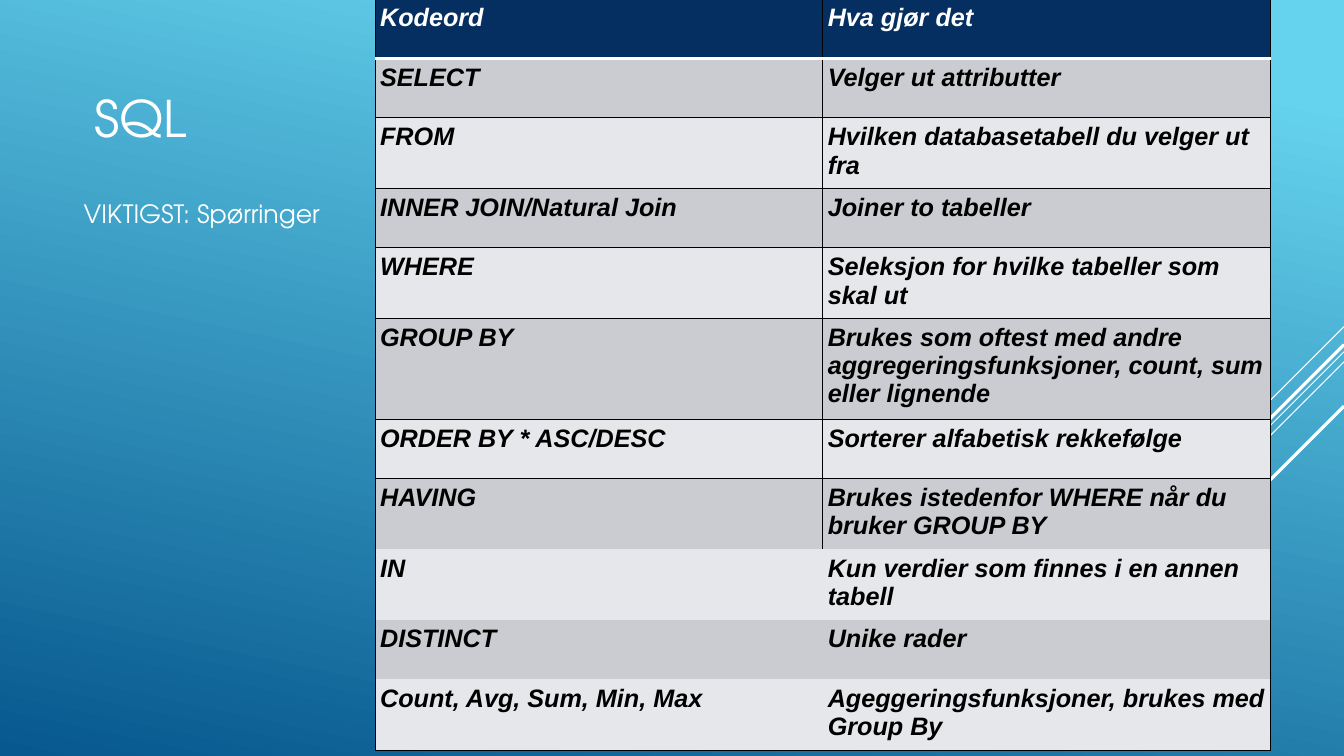
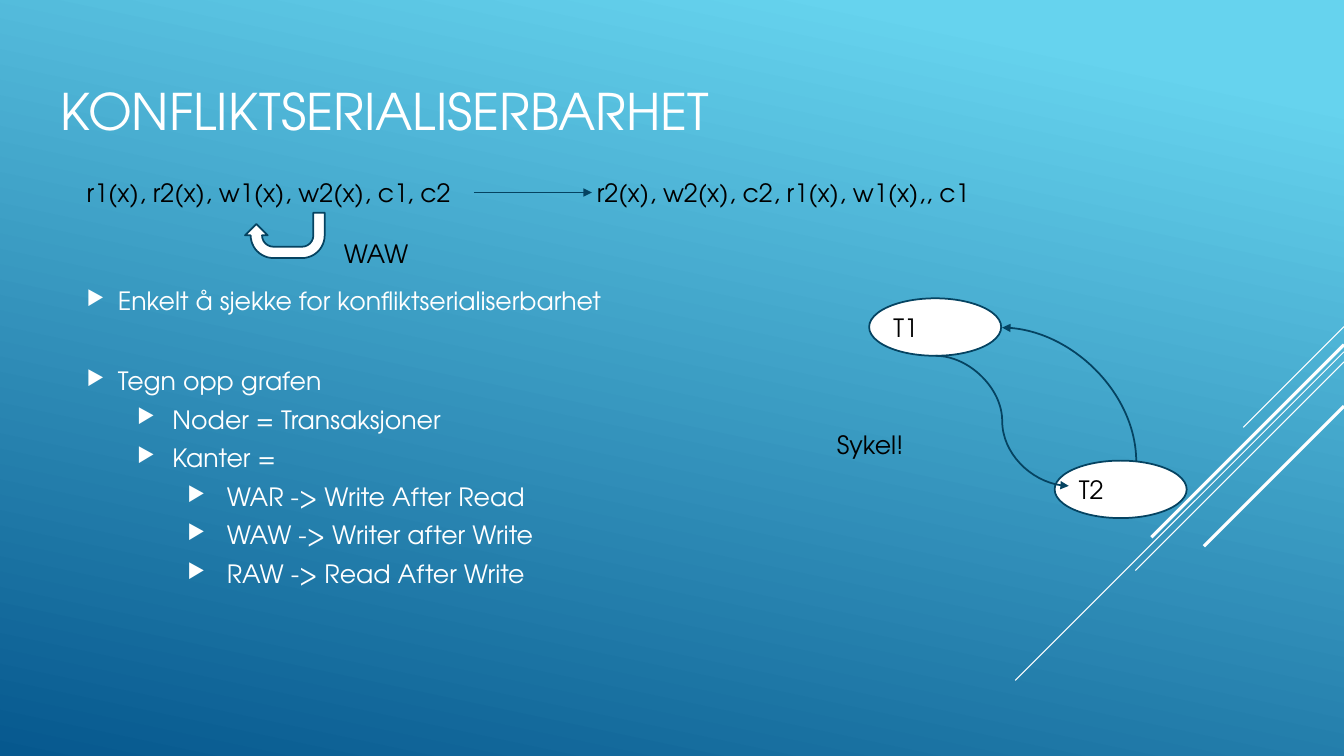
from copy import deepcopy

from lxml.etree import SubElement
from pptx import Presentation
from pptx.dml.color import RGBColor
from pptx.enum.shapes import MSO_CONNECTOR, MSO_SHAPE
from pptx.enum.text import MSO_ANCHOR, PP_ALIGN
from pptx.oxml.ns import qn
from pptx.util import Emu, Inches, Pt

WHITE, BLACK = "FFFFFF", "000000"
SKY, DEEP, OUTLINE = "66D3EE", "06588E", "054361"
NAVY, GREY, PALE = "052F61", "CACCD1", "E6E7EA"
FONT, TABLE_FONT = "TeX Gyre Adventor", "Arial"
INSET = Inches(0.05)
# x and y of the start, length along each axis, width in points
RAYS = [(13.33, 3.24, 1, 0.75), (13.33, 3.49, 3.26, 0.75), (13.33, 3.59, 2.07, 0.75),
        (13.33, 3.42, 1.91, 2.25), (13.33, 4.03, 1.39, 2.25)]
# marL and hanging indent per bullet level
LEVELS = [(0.31, 0.31), (0.85, 0.35), (1.39, 0.39)]

KEYWORDS = [
    ("Kodeord", "Hva gjør det"),
    ("SELECT", "Velger ut attributter"),
    ("FROM", "Hvilken databasetabell du velger ut fra"),
    ("INNER JOIN/Natural Join", "Joiner to tabeller"),
    ("WHERE", "Seleksjon for hvilke tabeller som skal ut"),
    ("GROUP BY", "Brukes som oftest med andre aggregeringsfunksjoner, count, sum eller lignende"),
    ("ORDER BY * ASC/DESC", "Sorterer alfabetisk rekkefølge"),
    ("HAVING", "Brukes istedenfor WHERE når du bruker GROUP BY"),
    ("IN", "Kun verdier som finnes i en annen tabell"),
    ("DISTINCT", "Unike rader"),
    ("Count, Avg, Sum, Min, Max", "Ageggeringsfunksjoner, brukes med Group By"),
]
LAST_RULED_ROW = 7  # rows below it have only the outer frame

# level, text, space before in points
GRAPH_STEPS = [
    (0, "Enkelt å sjekke for konfliktserialiserbarhet", 0),
    (0, "Tegn opp grafen", 35.5),
    (1, "Noder = Transaksjoner", 6),
    (1, "Kanter =", 6),
    (2, "WAR -> Write After Read", 6),
    (2, "WAW -> Writer after Write", 6),
    (2, "RAW -> Read After Write", 6),
]


def rgb(value):
    return RGBColor.from_string(value)


def set_edge(cell, side, line):
    """Draw one cell border (L, R, T or B); line is (colour, points) or None."""
    tcPr = cell._tc.get_or_add_tcPr()
    ln = SubElement(tcPr, qn(f"a:ln{side}"))
    tcPr.insert("LRTB".index(side), ln)
    if line is None:
        SubElement(ln, qn("a:noFill"))
        return
    colour, points = line
    ln.set("w", str(Pt(points)))
    SubElement(SubElement(ln, qn("a:solidFill")), qn("a:srgbClr")).set("val", colour)


class Deck:
    def __init__(self):
        self.prs = Presentation()
        self.prs.slide_width = Inches(13.33)
        self.prs.slide_height = Inches(7.5)
        self.s = None

    def slide(self):
        """Start a slide with the gradient and the diagonal rays."""
        self.s = self.prs.slides.add_slide(self.prs.slide_layouts[6])
        fill = self.s.background.fill
        fill.gradient()
        fill.gradient_angle = 360 - 102
        for stop, colour, position in zip(fill.gradient_stops, (SKY, DEEP), (0, 1)):
            stop.color.rgb = rgb(colour)
            stop.position = position
        first = self.s.element.find(".//" + qn("a:gs"))
        middle = deepcopy(first)
        middle.set("pos", "10000")
        first.addnext(middle)
        for x, y, length, width in RAYS:
            self.line((x, y), (x - length, y + length), WHITE, width)

    def style(self, p, size=18, colour=WHITE, font=FONT, strong=False):
        for r in p.runs:
            r.font.size = Pt(size)
            r.font.name = font
            r.font.color.rgb = rgb(colour)
            if strong:
                r.font.bold = r.font.italic = True

    def frame(self, tf, anchor):
        tf.word_wrap = True
        tf.vertical_anchor = anchor
        tf.margin_left = tf.margin_right = tf.margin_top = tf.margin_bottom = INSET

    def text(self, box, text, size=18, colour=BLACK, anchor=MSO_ANCHOR.TOP):
        sp = self.s.shapes.add_textbox(*map(Inches, box))
        tf = sp.text_frame
        self.frame(tf, anchor)
        tf.text = text
        self.style(tf.paragraphs[0], size, colour)
        return sp

    def title(self, left, top, text):
        self.text((left, top, 9.33, 1.65), text, 36, WHITE, MSO_ANCHOR.MIDDLE)

    def bullets(self, box, items):
        tf = self.s.shapes.add_textbox(*map(Inches, box)).text_frame
        self.frame(tf, MSO_ANCHOR.MIDDLE)
        for i, (level, text, before) in enumerate(items):
            p = tf.add_paragraph() if i else tf.paragraphs[0]
            p.text = text
            p.level = level
            p.space_before = Pt(before)
            margin, hanging = LEVELS[level]
            pPr = p._p.get_or_add_pPr()
            pPr.set("marL", str(Inches(margin)))
            pPr.set("indent", str(-Inches(hanging)))
            SubElement(SubElement(pPr, qn("a:buClr")), qn("a:srgbClr")).set("val", WHITE)
            SubElement(pPr, qn("a:buSzPct")).set("val", "80000")
            SubElement(pPr, qn("a:buChar")).set("char", "▶")
            self.style(p)

    def shape(self, kind, box, text=""):
        sp = self.s.shapes.add_shape(kind, *map(Inches, box))
        sp.shadow.inherit = False
        sp.fill.solid()
        sp.fill.fore_color.rgb = rgb(WHITE)
        sp.line.color.rgb = rgb(OUTLINE)
        sp.line.width = Pt(1.25)
        if text:
            tf = sp.text_frame
            self.frame(tf, MSO_ANCHOR.MIDDLE)
            tf.text = text
            tf.paragraphs[0].alignment = PP_ALIGN.LEFT
            self.style(tf.paragraphs[0], colour=BLACK)
        return sp

    def line(self, start, end, colour, width, kind=MSO_CONNECTOR.STRAIGHT):
        c = self.s.shapes.add_connector(kind, *map(Inches, (*start, *end)))
        c.line.color.rgb = rgb(colour)
        c.line.width = Pt(width)
        SubElement(c._element.spPr, qn("a:effectLst"))
        return c

    def arrow(self, start, end, kind=MSO_CONNECTOR.STRAIGHT):
        c = self.line(start, end, OUTLINE, 1.25, kind)
        SubElement(c.line._get_or_add_ln(), qn("a:tailEnd")).set("type", "triangle")
        return c

    def quarter_arrow(self, left, top, size):
        """Curve from the bottom right corner of a square up to its top left."""
        c = self.arrow((left + size, top), (left, top + size), MSO_CONNECTOR.CURVE)
        spPr = c._element.spPr
        spPr.find(qn("a:xfrm")).set("rot", str(90 * 60000))
        spPr.find(qn("a:prstGeom")).set("prst", "curvedConnector2")

    def table(self, left, top, col_width, row_height, rows):
        n_rows, n_cols = len(rows), len(rows[0])
        frame = self.s.shapes.add_table(
            n_rows, n_cols, Inches(left), Inches(top),
            Emu(Inches(col_width) * n_cols), Emu(Inches(row_height) * n_rows))
        table = frame.table
        table.first_row = table.horz_banding = False
        thin, heavy = (BLACK, 0.75), (WHITE, 3)
        # horizontal rules from the top edge to the bottom edge
        rules = [thin if i <= LAST_RULED_ROW or i == n_rows else None
                 for i in range(n_rows + 1)]
        rules[1] = heavy
        for i, row in enumerate(rows):
            table.rows[i].height = Inches(row_height)
            inner = thin if i <= LAST_RULED_ROW else None
            for j, text in enumerate(row):
                table.columns[j].width = Inches(col_width)
                cell = table.cell(i, j)
                cell.margin_left = cell.margin_right = INSET
                cell.margin_top = cell.margin_bottom = INSET
                cell.text = text
                self.style(cell.text_frame.paragraphs[0], 18,
                           BLACK if i else WHITE, TABLE_FONT, strong=True)
                cell.fill.solid()
                cell.fill.fore_color.rgb = rgb((GREY if i % 2 else PALE) if i else NAVY)
                set_edge(cell, "L", inner if j else thin)
                set_edge(cell, "R", inner if j < n_cols - 1 else thin)
                set_edge(cell, "T", rules[i])
                set_edge(cell, "B", rules[i + 1])


def sql_slide(deck):
    deck.slide()
    deck.title(0.89, 0.34, "SQL")
    deck.text((0.78, 1.92, 2.85, 0.4), "VIKTIGST: Spørringer", colour=WHITE)
    deck.table(3.72, -0.01, 4.44, 0.59, KEYWORDS)


def conflict_slide(deck):
    deck.slide()
    deck.title(0.55, 0.27, "KONFLIKTSERIALISERBARHET")
    deck.bullets((0.81, 2.36, 7.4, 3.95), GRAPH_STEPS)

    deck.text((0.81, 1.71, 4.11, 0.4), "r1(x), r2(x), w1(x), w2(x), c1, c2")
    serial = deck.text((5.87, 1.71, 4.11, 0.4), "r2(x), w2(x), c2, r1(x), w1(x),, c1")
    deck.arrow((4.7, 1.91), (5.87, 1.91)).end_connect(serial, 1)

    deck.shape(MSO_SHAPE.OVAL, (8.62, 2.96, 1.31, 0.57), "T1")
    deck.shape(MSO_SHAPE.OVAL, (10.46, 4.57, 1.31, 0.57), "T2")
    u_turn = deck.shape(MSO_SHAPE.U_TURN_ARROW, (2.43, 2.11, 0.79, 0.45))
    u_turn.rotation = 180
    for i, value in enumerate((0.25, 0.25, 0.25, 0.5, 0.75)):
        u_turn.adjustments[i] = value
    deck.text((3.36, 2.32, 0.77, 0.4), "WAW")

    deck.quarter_arrow(9.94, 3.25, 1.33)
    deck.arrow((9.28, 3.53), (10.6, 4.82), MSO_CONNECTOR.CURVE)
    deck.text((8.25, 4.21, 1.13, 0.4), "Sykel!")


def main():
    deck = Deck()
    sql_slide(deck)
    conflict_slide(deck)
    deck.prs.save("out.pptx")


if __name__ == "__main__":
    main()
